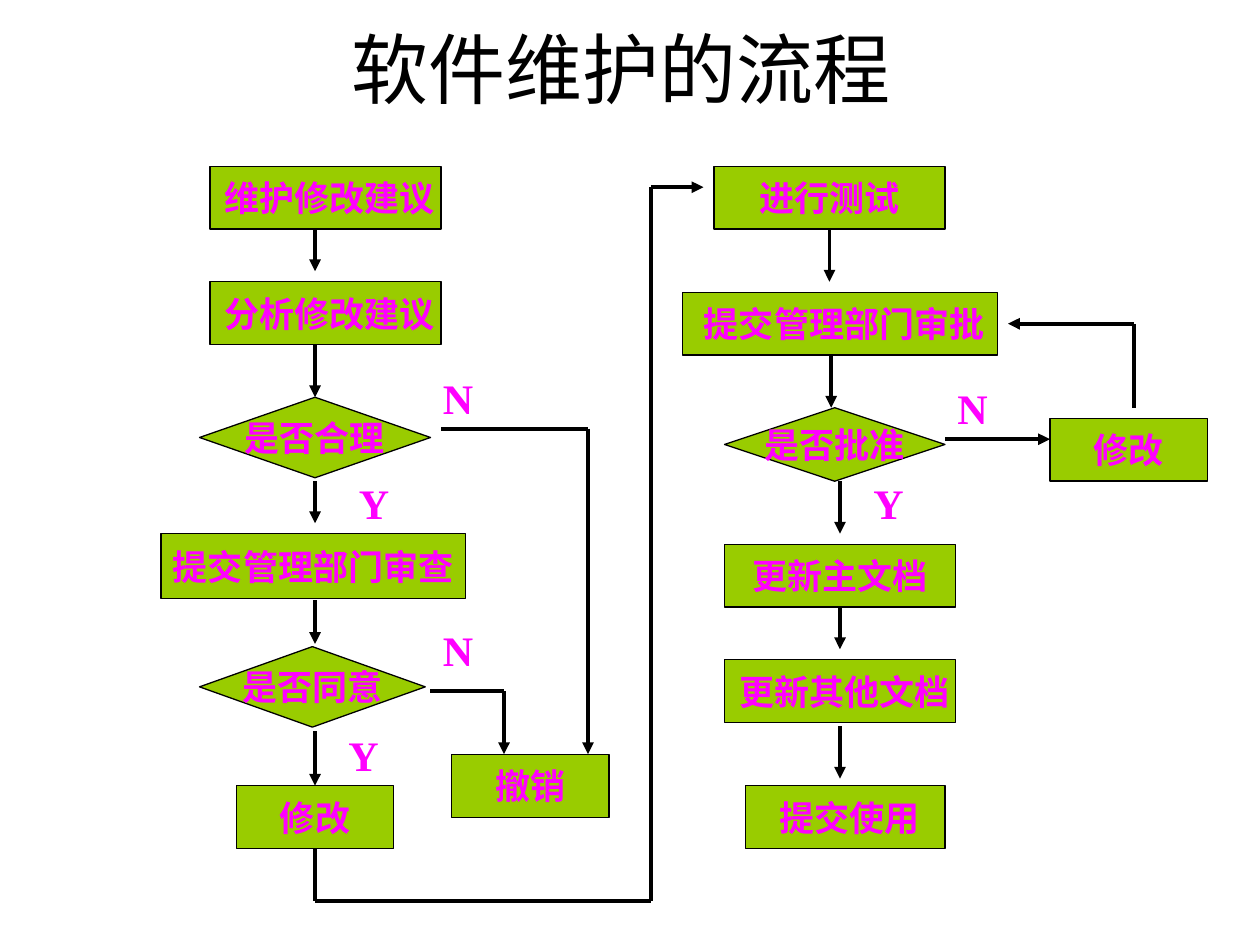
from itertools import pairwise

from lxml import etree
from pptx import Presentation
from pptx import util as u
from pptx.dml.color import RGBColor
from pptx.enum import shapes, text
from pptx.oxml import ns

COLORS = {"fill": "99CC00", "ink": "000000", "label": "FF00FF"}
FONT = "Times New Roman"
TOP, BOTTOM = 0, 2
RECTANGLE = shapes.MSO_SHAPE.RECTANGLE
DIAMOND = shapes.MSO_SHAPE.DIAMOND

STEPS = {
    "suggest": ("维护修改建议", RECTANGLE, 120, 95, 132, 36, 12),
    "analyse": ("分析修改建议", RECTANGLE, 120, 161, 132, 36, 12),
    "reasonable": ("是否合理", DIAMOND, 114, 227, 132, 46, 7.2),
    "review": ("提交管理部门审查", RECTANGLE, 92, 305, 174, 37, 7.2),
    "agreed": ("是否同意", DIAMOND, 114, 369.5, 129, 46, 7.2),
    "modify": ("修改", RECTANGLE, 135, 449, 90, 36, 7.2),
    "cancel": ("撤销", RECTANGLE, 258, 431, 90, 36, 7.2),
    "test": ("进行测试", RECTANGLE, 408, 95, 132, 36, 7.2),
    "approval": ("提交管理部门审批", RECTANGLE, 390, 167, 180, 36, 12),
    "approved": ("是否批准", DIAMOND, 414, 233, 126, 42, 7.2),
    "main_document": ("更新主文档", RECTANGLE, 414, 311, 132, 36, 7.2),
    "other_documents": ("更新其他文档", RECTANGLE, 414, 377, 132, 36, 12),
    "release": ("提交使用", RECTANGLE, 426, 449, 114, 36, 12),
    "rework": ("修改", RECTANGLE, 600, 239, 90, 36, 7.2),
}

ANSWERS = [
    ("N", 246, 209, 42),
    ("Y", 198, 269, 54),
    ("N", 246, 353, 36),
    ("Y", 192, 413, 54),
    ("Y", 492, 269, 42),
    ("N", 540, 215, 60),
]

ROUTES = [
    ([(180, 131), (180, 155)], None, None),
    ([(180, 197), (180, 227)], None, ("reasonable", TOP)),
    ([(180, 275), (180, 299)], None, None),
    ([(180, 343), (180, 368)], None, None),
    ([(180, 418), (180, 449)], None, ("modify", TOP)),
    ([(252, 245), (336, 245), (336, 431)], None, None),
    ([(246, 395), (288, 395), (288, 431)], None, None),
    ([(180, 485), (180, 515), (372, 515), (372, 107), (402, 107)],
     ("modify", BOTTOM), None),
    ([(474, 131), (474, 161)], ("test", BOTTOM), None),
    ([(475, 203), (475, 233)], None, None),
    ([(480, 275), (480, 305)], None, None),
    ([(480, 347), (480, 371)], ("main_document", BOTTOM), None),
    ([(480, 415), (480, 445)], None, None),
    ([(540, 251), (600, 251)], None, None),
    ([(648, 233), (648, 185), (576, 185)], None, None),
]


def color(name):
    return RGBColor.from_string(COLORS[name])


def write(frame, wording, size, tint, bold, align):
    frame.vertical_anchor = text.MSO_ANCHOR.MIDDLE
    para = frame.paragraphs[0]
    para.text = wording
    para.alignment = align
    font = para.runs[0].font
    font.name, font.size, font.bold = FONT, u.Pt(size), bold
    font.color.rgb = color(tint)


def add_label(page, wording, left, top, width, height, size, tint, bold, align):
    box = page.shapes.add_textbox(*map(u.Pt, (left, top, width, height)))
    box.text_frame.word_wrap = True
    write(box.text_frame, wording, size, tint, bold, align)


def add_step(page, wording, kind, left, top, width, height, inset):
    box = page.shapes.add_shape(kind, *map(u.Pt, (left, top, width, height)))
    box.shadow.inherit = False
    box.fill.solid()
    box.fill.fore_color.rgb = color("fill")
    box.line.color.rgb = color("ink")
    box.line.width = u.Pt(0.75)
    box.text_frame.word_wrap = False
    box.text_frame.margin_left = u.Pt(inset)
    write(box.text_frame, wording, 20, "label", True, text.PP_ALIGN.CENTER)
    return box


def add_line(page, start, end):
    line = page.shapes.add_connector(
        shapes.MSO_CONNECTOR.STRAIGHT, *map(u.Pt, (*start, *end)))
    line.line.color.rgb = color("ink")
    line.line.width = u.Pt(2.25)
    etree.SubElement(line._element.spPr, ns.qn("a:effectLst"))
    return line


def add_route(page, points, boxes, source, target):
    lines = [add_line(page, start, end) for start, end in pairwise(points)]
    if source:
        lines[0].begin_connect(boxes[source[0]], source[1])
    if target:
        lines[-1].end_connect(boxes[target[0]], target[1])
    outline = lines[-1].line._get_or_add_ln()
    etree.SubElement(outline, ns.qn("a:tailEnd"), type="triangle")


def main():
    deck = Presentation()
    deck.slide_width, deck.slide_height = u.Pt(720), u.Pt(540)
    page = deck.slides.add_slide(deck.slide_layouts[6])
    add_label(page, "软件维护的流程", 31, 0, 648, 77, 44, "ink", False,
              text.PP_ALIGN.CENTER)
    boxes = {name: add_step(page, *step) for name, step in STEPS.items()}
    for points, source, target in ROUTES:
        add_route(page, points, boxes, source, target)
    for wording, left, top, width in ANSWERS:
        add_label(page, wording, left, top, width, 36, 24, "label", True,
                  text.PP_ALIGN.LEFT)
    deck.save("out.pptx")


if __name__ == "__main__":
    main()
